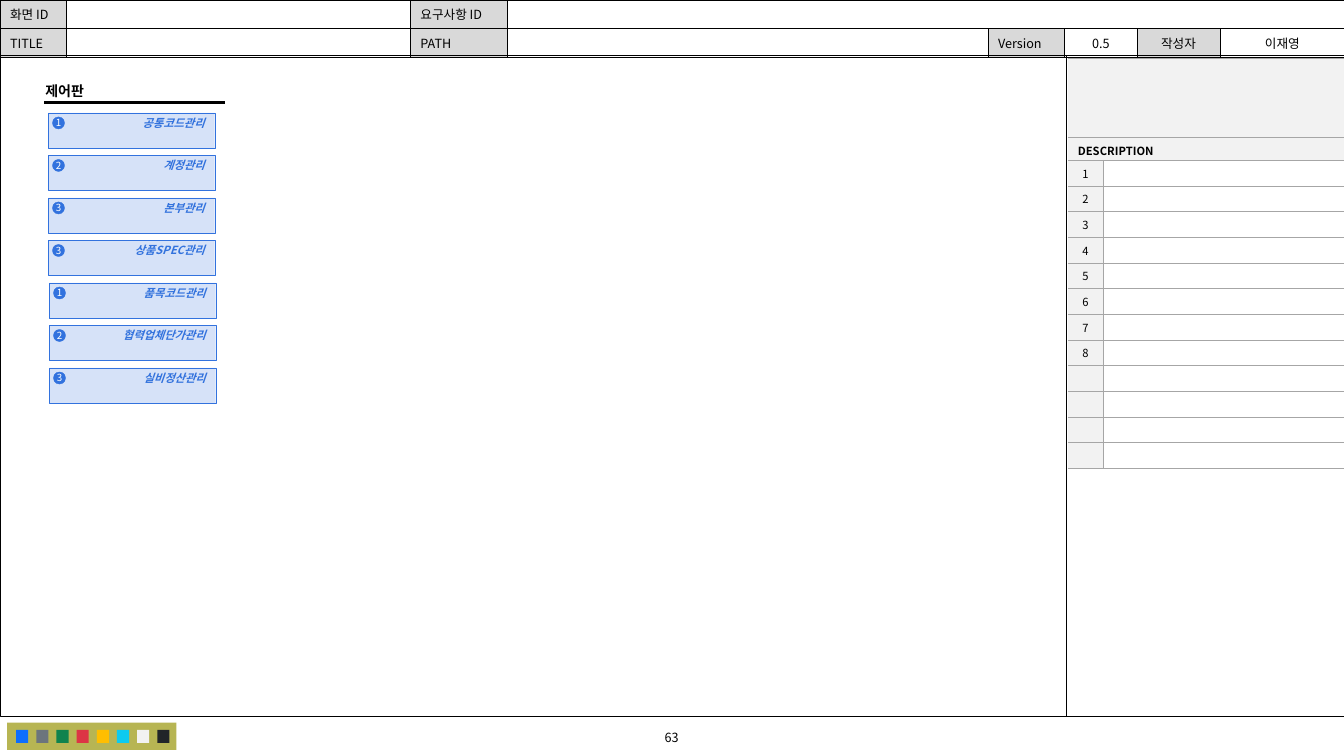
from lxml.etree import SubElement
from pptx import Presentation
from pptx.dml.color import RGBColor
from pptx.enum.shapes import MSO_CONNECTOR, MSO_SHAPE
from pptx.enum.text import MSO_ANCHOR, PP_ALIGN
from pptx.oxml.ns import qn
from pptx.util import Inches, Pt

FONT = "Noto Sans CJK KR"
COLORS = {
    "black": "000000", "white": "FFFFFF", "label": "D9D9D9",
    "panel": "F2F2F2", "rule": "A6A6A6", "blue": "3272DE",
    "menu_text": "3272DD", "olive": "B7B553",
}
PALETTE = ["0D6EFD", "6C757D", "10834E", "DC3545",
           "FFBE00", "0DCAF0", "F2F2F2", "212529"]
HEADER_WIDTHS = [0.66, 3.41, 0.96, 4.77, 0.76, 0.72, 0.82, 1.24]
HEADER_ROWS = [
    ["화면 ID", "", "요구사항 ID", "", "", "", "", ""],
    ["TITLE", "", "PATH", "", "Version", "0.5", "작성자", "이재영"],
]
MENU = [("1", "공통코드관리"), ("2", "계정관리"), ("3", "본부관리"),
        ("3", "상품SPEC관리"), ("1", "품목코드관리"),
        ("2", "협력업체단가관리"), ("3", "실비정산관리")]
MENU_TOP, MENU_SPAN = 1.12, 2.53
DESCRIPTION_ROWS = 12
NUMBERED_ROWS = 8


def rgb(color):
    return RGBColor.from_string(COLORS.get(color, color))


def write(frame, text, size=9, color="black", bold=False, italic=False,
          align=PP_ALIGN.LEFT, anchor=MSO_ANCHOR.TOP, wrap=True,
          margins=(0.1, 0.05, 0.1, 0.05)):
    """Fill a text frame; margins are left, top, right, bottom in inches."""
    frame.word_wrap = wrap
    frame.vertical_anchor = anchor
    (frame.margin_left, frame.margin_top,
     frame.margin_right, frame.margin_bottom) = map(Inches, margins)
    paragraph = frame.paragraphs[0]
    paragraph.alignment = align
    run = paragraph.add_run()
    run.text = text
    font = run.font
    font.size, font.bold, font.italic, font.name = Pt(size), bold, italic, FONT
    font.color.rgb = rgb(color)
    SubElement(run._r.rPr, qn("a:ea"), typeface=FONT)


def add_block(slide, box, fill=None, line=None, kind=MSO_SHAPE.RECTANGLE,
              opacity=None):
    block = slide.shapes.add_shape(kind, *map(Inches, box))
    block.shadow.inherit = False
    if fill:
        block.fill.solid()
        block.fill.fore_color.rgb = rgb(fill)
    else:
        block.fill.background()
    if opacity:
        shade = block._element.spPr.find(qn("a:solidFill"))[0]
        SubElement(shade, qn("a:alpha"), val=str(opacity * 1000))
    if line:
        block.line.color.rgb = rgb(line)
        block.line.width = Pt(0.25)
    else:
        block.line.fill.background()
    return block


def add_rule(slide, start, end, width):
    rule = slide.shapes.add_connector(
        MSO_CONNECTOR.STRAIGHT, *map(Inches, start + end))
    rule.line.color.rgb = rgb("black")
    rule.line.width = Pt(width)
    SubElement(rule._element.spPr, qn("a:effectLst"))


def add_grid(slide, left, top, widths, heights):
    grid = slide.shapes.add_table(
        len(heights), len(widths), Inches(left), Inches(top),
        Inches(sum(widths)), Inches(sum(heights))).table
    grid.first_row = grid.horz_banding = False
    for column, width in zip(grid.columns, widths):
        column.width = Inches(width)
    for row, height in zip(grid.rows, heights):
        row.height = Inches(height)
    return grid


def fill_cell(cell, text, fill, border, sides="LRTB",
              margins=(0.1, 0.05, 0.1, 0.05), **style):
    properties = cell._tc.get_or_add_tcPr()
    for side in "LRTB":
        edge = SubElement(properties, qn(f"a:ln{side}"), w=str(Pt(0.5)))
        if side in sides:
            solid = SubElement(edge, qn("a:solidFill"))
            SubElement(solid, qn("a:srgbClr"), val=COLORS[border])
        else:
            SubElement(edge, qn("a:noFill"))
    cell.fill.solid()
    cell.fill.fore_color.rgb = rgb(fill)
    if text:
        write(cell.text_frame, text, **style)
    else:
        # Small type keeps an empty row at its set height
        SubElement(cell.text_frame.paragraphs[0]._p,
                   qn("a:endParaRPr"), sz="800")
    cell.vertical_anchor = MSO_ANCHOR.MIDDLE
    (cell.margin_left, cell.margin_top,
     cell.margin_right, cell.margin_bottom) = map(Inches, margins)


def add_header(slide):
    header = add_grid(slide, 0, 0, HEADER_WIDTHS, [0.28, 0.28])
    for r, row in enumerate(HEADER_ROWS):
        for c, text in enumerate(row):
            is_label = text and c % 2 == 0
            align = PP_ALIGN.CENTER if c > 4 else PP_ALIGN.LEFT
            fill_cell(header.cell(r, c), text,
                      "label" if is_label else "white", "black", align=align)
    header.cell(0, 3).merge(header.cell(0, 7))


def add_description(slide):
    heights = [0.78, 0.23] + [0.255] * DESCRIPTION_ROWS
    description = add_grid(slide, 10.59, 0.58, [0.35, 2.39], heights)
    for r, text in enumerate(["", "DESCRIPTION"]):
        for c in range(2):
            fill_cell(description.cell(r, c), "" if c else text, "panel",
                      "rule", sides="TB", margins=(0.1, 0.04, 0.1, 0),
                      size=8, bold=True)
        description.cell(r, 0).merge(description.cell(r, 1))
    for number in range(1, DESCRIPTION_ROWS + 1):
        label = str(number) if number <= NUMBERED_ROWS else ""
        fill_cell(description.cell(number + 1, 0), label, "panel", "rule",
                  sides="RTB", margins=(0, 0, 0, 0), size=8,
                  align=PP_ALIGN.CENTER)
        fill_cell(description.cell(number + 1, 1), "", "white", "rule",
                  sides="LTB", margins=(0, 0, 0, 0))


def add_menu_item(slide, index, number, name):
    left = 0.48 if index < 4 else 0.49
    top = MENU_TOP + index * MENU_SPAN / (len(MENU) - 1)
    item = add_block(slide, (left, top, 1.65, 0.35), "blue", "blue", opacity=20)
    write(item.text_frame, name, size=8, color="menu_text", bold=True,
          italic=True, align=PP_ALIGN.RIGHT, margins=(0.1, 0.03, 0.1, 0.03))
    badge = add_block(slide, (left + 0.04, top + 0.04, 0.12, 0.12),
                      "blue", "blue", MSO_SHAPE.OVAL)
    write(badge.text_frame, number, size=7, color="white", wrap=False,
          align=PP_ALIGN.CENTER, anchor=MSO_ANCHOR.MIDDLE, margins=(0, 0, 0, 0))


def add_footer(slide):
    page = slide.shapes.add_textbox(*map(Inches, (5.37, 7.19, 2.58, 0.25)))
    write(page.text_frame, "63", align=PP_ALIGN.CENTER)
    add_block(slide, (0.07, 7.17, 1.68, 0.27), "olive")
    for i, swatch in enumerate(PALETTE):
        add_block(slide, (0.16 + 0.2 * i, 7.24, 0.12, 0.13), swatch)


def main():
    deck = Presentation()
    deck.slide_width, deck.slide_height = Inches(13.33), Inches(7.5)
    slide = deck.slides.add_slide(deck.slide_layouts[5])

    # Page frame
    add_header(slide)
    add_block(slide, (0, 0.55, 13.33, 6.56), line="black")
    add_rule(slide, (10.58, 0.56), (10.58, 7.11), 0.5)
    add_footer(slide)

    # Heading
    heading = slide.shapes.title
    heading.left, heading.top = Inches(0.45), Inches(0.82)
    heading.width, heading.height = Inches(0.42), Inches(0.17)
    write(heading.text_frame, "제어판", size=10, bold=True, wrap=False,
          margins=(0, 0, 0, 0))
    add_rule(slide, (0.44, 1.02), (2.23, 1.02), 2.25)

    # Menu and description panel
    for index, (number, name) in enumerate(MENU):
        add_menu_item(slide, index, number, name)
    add_description(slide)

    deck.save("out.pptx")


if __name__ == "__main__":
    main()
